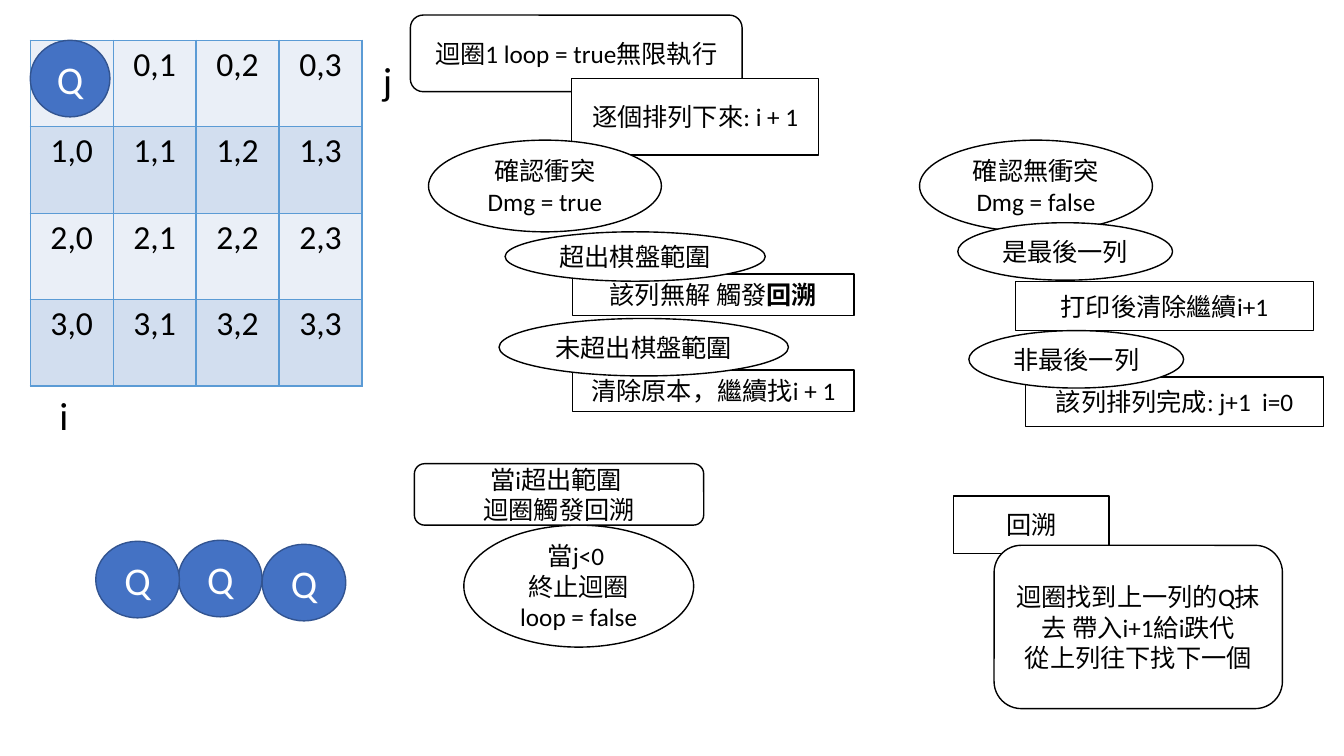
from lxml import etree
from pptx import Presentation
from pptx.dml.color import RGBColor
from pptx.enum.shapes import MSO_SHAPE
from pptx.enum.text import MSO_ANCHOR, MSO_AUTO_SIZE, PP_ALIGN
from pptx.oxml.ns import qn
from pptx.util import Inches, Pt

RECT = MSO_SHAPE.RECTANGLE
ROUND = MSO_SHAPE.ROUNDED_RECTANGLE
OVAL = MSO_SHAPE.OVAL
CENTER = PP_ALIGN.CENTER
MIDDLE = MSO_ANCHOR.MIDDLE
FIT_SHAPE = MSO_AUTO_SIZE.SHAPE_TO_FIT_TEXT

BLACK = RGBColor(0x00, 0x00, 0x00)
WHITE = RGBColor(0xFF, 0xFF, 0xFF)
QUEEN_FILL = RGBColor(0x44, 0x72, 0xC4)
QUEEN_LINE = RGBColor(0x32, 0x54, 0x91)
GRID_LINE = RGBColor(0x5B, 0x9B, 0xD5)
ROW_FILLS = (RGBColor(0xEA, 0xEF, 0xF7), RGBColor(0xD2, 0xDE, 0xEF))

BOARD_SIZE = 4
BOX_FONT = {"size": Pt(18), "name": "Calibri"}
CELL_FONT = {"size": Pt(24), "name": "Calibri"}
QUEEN_FONT = {"size": Pt(28), "name": "Calibri"}

QUEENS = [
    (0.3, 0.4, 0.79),
    (1.77, 5.36, 0.83),
    (2.6, 5.4, 0.83),
    (0.95, 5.37, 0.83),
]
AXIS_LABELS = [("i", 0.49, 3.83, 0.29), ("j", 3.7, 0.51, 0.3)]

# Back to front: shape, left, top, width, height, text, bold ending
STEPS_BEHIND = [
    (RECT, 10.07, 2.79, 2.96, 0.49, "打印後清除繼續i+1", ""),
    (RECT, 5.68, 3.67, 2.79, 0.41, "清除原本，繼續找i + 1", ""),
    (RECT, 5.68, 2.72, 2.79, 0.41, "該列無解 觸發", "回溯"),
    (ROUND, 4.07, 0.15, 3.29, 0.76, "迴圈1 loop = true無限執行", ""),
]
STEPS_IN_FRONT = [
    (RECT, 5.67, 0.78, 2.45, 0.76, "逐個排列下來: i + 1", ""),
    (OVAL, 4.25, 1.39, 2.31, 0.91, "確認衝突\nDmg = true", ""),
    (RECT, 10.17, 3.74, 2.96, 0.49, "該列排列完成: j+1  i=0", ""),
    (OVAL, 9.12, 1.39, 2.31, 0.91, "確認無衝突\nDmg = false", ""),
    (OVAL, 5.01, 2.3, 2.58, 0.49, "超出棋盤範圍", ""),
    (OVAL, 4.95, 3.16, 2.87, 0.57, "未超出棋盤範圍", ""),
    (RECT, 9.46, 4.92, 1.54, 0.57, "回溯", ""),
    (ROUND, 9.86, 5.41, 2.86, 1.62,
     "迴圈找到上一列的Q抹去 帶入i+1給i跌代\n從上列往下找下一個", ""),
    (OVAL, 9.5, 2.21, 2.13, 0.57, "是最後一列", ""),
    (OVAL, 9.61, 3.28, 2.13, 0.57, "非最後一列", ""),
    (OVAL, 4.6, 5.21, 2.28, 1.21, "當j<0 \n終止迴圈 loop = false", ""),
    (ROUND, 4.11, 4.6, 2.87, 0.61, "當i超出範圍 \n迴圈觸發回溯", ""),
]


def format_text(tf, font, color, align=None):
    for p in tf.paragraphs:
        p.alignment = align
        for r in p.runs:
            for name, value in font.items():
                setattr(r.font, name, value)
            r.font.color.rgb = color


def add_box(slide, kind, left, top, width, height, text, bold_end="",
            fill=WHITE, line=BLACK, color=BLACK, font=BOX_FONT):
    sp = slide.shapes.add_shape(
        kind, Inches(left), Inches(top), Inches(width), Inches(height))
    sp.shadow.inherit = False
    sp.fill.solid()
    sp.fill.fore_color.rgb = fill
    sp.line.color.rgb = line
    sp.line.width = Pt(1)
    tf = sp.text_frame
    tf.word_wrap = True
    tf.vertical_anchor = MIDDLE
    tf.text = text
    if bold_end:
        r = tf.paragraphs[-1].add_run()
        r.text = bold_end
        r.font.bold = True
    format_text(tf, font, color, CENTER)


def add_queen(slide, left, top, width):
    add_box(slide, OVAL, left, top, width, 0.76, "Q", fill=QUEEN_FILL,
            line=QUEEN_LINE, color=WHITE, font=QUEEN_FONT)


def add_axis_label(slide, text, left, top, width):
    box = slide.shapes.add_textbox(
        Inches(left), Inches(top), Inches(width), Inches(0.57))
    tf = box.text_frame
    tf.word_wrap = False
    tf.auto_size = FIT_SHAPE
    tf.text = text
    format_text(tf, QUEEN_FONT, BLACK)


def add_cell_borders(cell):
    tc_pr = cell._tc.get_or_add_tcPr()
    for side in ("a:lnL", "a:lnR", "a:lnT", "a:lnB"):
        ln = etree.SubElement(tc_pr, qn(side), w=str(Pt(1)))
        fill = etree.SubElement(ln, qn("a:solidFill"))
        etree.SubElement(fill, qn("a:srgbClr"), val=str(GRID_LINE))


def add_board(slide):
    """Draw the chessboard, each cell holding its row and column index."""
    table = slide.shapes.add_table(
        BOARD_SIZE, BOARD_SIZE, Inches(0.3), Inches(0.4),
        Inches(3.29), Inches(3.43)).table
    table.first_row = False
    for row in range(BOARD_SIZE):
        for col in range(BOARD_SIZE):
            cell = table.cell(row, col)
            add_cell_borders(cell)
            cell.fill.solid()
            cell.fill.fore_color.rgb = ROW_FILLS[row % 2]
            cell.margin_left = cell.margin_right = Inches(0.08)
            cell.margin_top = cell.margin_bottom = Inches(0.04)
            cell.text = f"{row},{col}"
            format_text(cell.text_frame, CELL_FONT, BLACK, CENTER)


def main():
    prs = Presentation()
    prs.slide_width = Inches(13.33)
    prs.slide_height = Inches(7.5)
    slide = prs.slides.add_slide(prs.slide_layouts[6])
    for step in STEPS_BEHIND:
        add_box(slide, *step)
    add_board(slide)
    for queen in QUEENS:
        add_queen(slide, *queen)
    for label in AXIS_LABELS:
        add_axis_label(slide, *label)
    for step in STEPS_IN_FRONT:
        add_box(slide, *step)
    prs.save("out.pptx")


if __name__ == "__main__":
    main()
